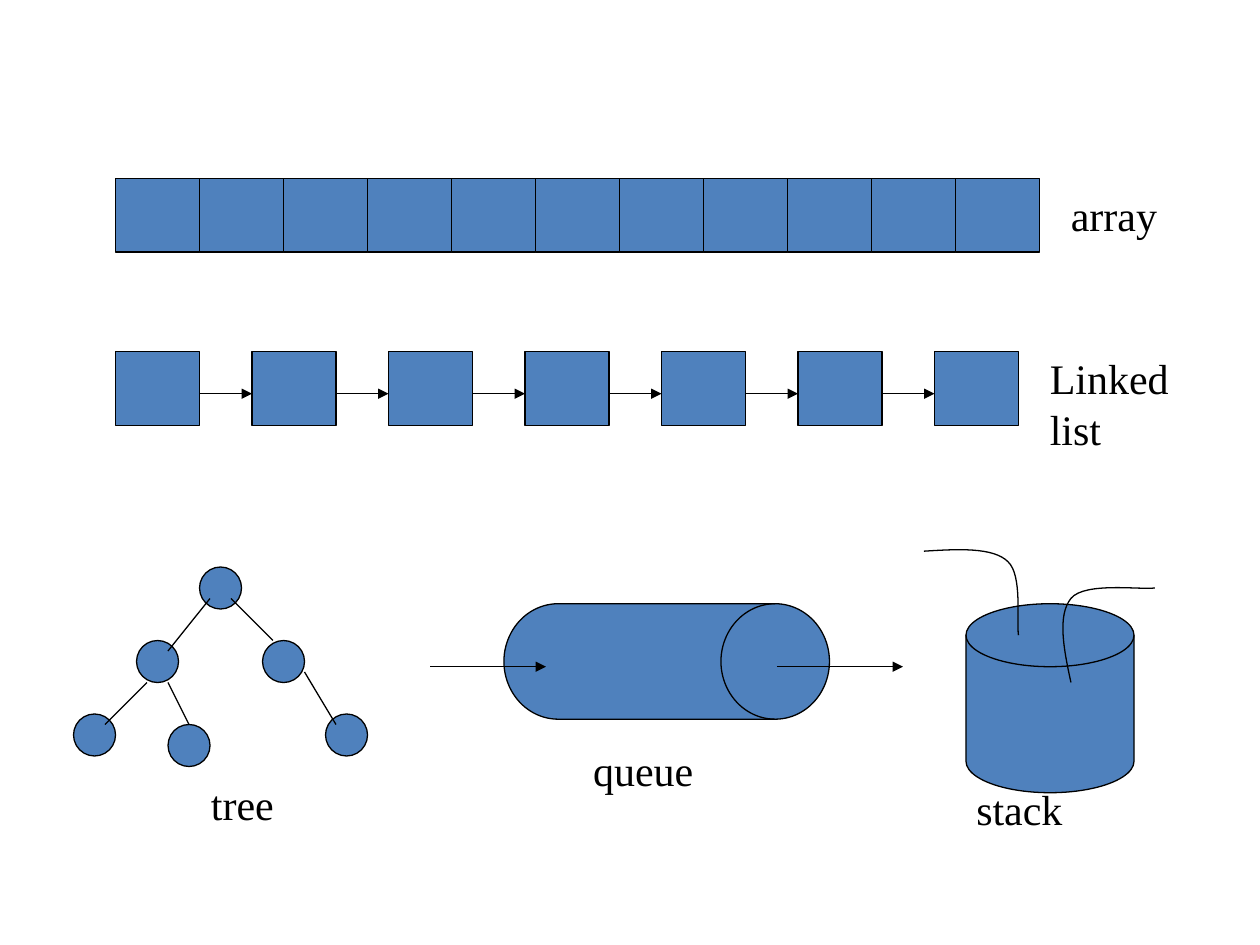
from lxml.etree import SubElement
from pptx import Presentation
from pptx.dml.color import RGBColor
from pptx.enum.shapes import MSO_CONNECTOR as Connector, MSO_SHAPE as Preset
from pptx.oxml.ns import qn
from pptx.util import Inches, Pt

BLUE, BLACK = "4F81BD", "000000"
CELL_WIDTH, CELL_HEIGHT, NODE_SIZE = 8, 7, 4


def grid(*counts):
    """Turn counts of twelfth-inch columns or rows into lengths."""
    return [Inches(count / 12) for count in counts]


def color(hex_string):
    """Return the colour for a hex string."""
    return RGBColor.from_string(hex_string)


def outline(item):
    """Give a shape or connector the thin black line."""
    item.line.color.rgb = color(BLACK)
    item.line.width = Pt(0.75)


def add_solid(page, preset, left, top, width, height):
    """Add a blue outlined preset shape."""
    shape = page.shapes.add_shape(preset, *grid(left, top, width, height))
    shape.shadow.inherit = False
    shape.fill.solid()
    shape.fill.fore_color.rgb = color(BLUE)
    outline(shape)


def add_line(page, left, top, right, bottom, arrow=False):
    """Add a straight line, with an arrowhead at its end on request."""
    line = page.shapes.add_connector(Connector.STRAIGHT, *grid(left, top, right, bottom))
    outline(line)
    if arrow:
        SubElement(line.line._get_or_add_ln(), qn("a:tailEnd"), type="triangle")
    SubElement(line._element.spPr, qn("a:effectLst"))


def add_curve(page, left, top, points):
    """Add an open Bezier curve: a start, then triples of control points and end."""
    start, *others = [grid(left + x, top + y) for x, y in points]
    builder = page.shapes.build_freeform(*start)
    builder.add_line_segments(others, close=False)
    curve = builder.convert_to_shape()
    curve.shadow.inherit = False
    curve.fill.background()
    outline(curve)
    route = next(curve._element.iter(qn("a:path")))
    segments = route.findall(qn("a:lnTo"))
    for first in range(0, len(segments), 3):
        bend = SubElement(route, qn("a:cubicBezTo"))
        for segment in segments[first:first + 3]:
            bend.append(segment[0])
            route.remove(segment)


def add_label(page, words, left, top, width, height=6):
    """Add a wrapped text label."""
    box = page.shapes.add_textbox(*grid(left, top, width, height))
    box.text_frame.word_wrap = True
    para = box.text_frame.paragraphs[0]
    para.text = words
    para.font.name = "Times New Roman"
    para.font.size = Pt(24)
    para.font.color.rgb = color(BLACK)


def draw_array(page, left, top, count=11):
    """Draw adjoining cells and their label."""
    for index in range(count):
        add_solid(page, Preset.RECTANGLE, left + index * CELL_WIDTH, top, CELL_WIDTH, CELL_HEIGHT)
    add_label(page, "array", left + 89.8, top + 0.5, 13.6)


def draw_linked_list(page, left, top, count=7, gap=5):
    """Draw spaced cells joined by arrows and their label."""
    for index in range(count):
        x = left + index * (CELL_WIDTH + gap)
        add_solid(page, Preset.RECTANGLE, x, top, CELL_WIDTH, CELL_HEIGHT)
        if index:
            add_line(page, x - gap, top + 4, x, top + 4, arrow=True)
    add_label(page, "Linked list", left + 87.8, top - 0.5, 14.9, 10.9)


def draw_tree(page, left, top):
    """Draw nodes, branches and the label of a binary tree."""
    nodes = [(12, 0), (6, 7), (0, 14), (18, 7), (24, 14), (9, 15)]
    branches = [(13, 3, 9, 8), (7, 11, 3, 15), (15, 3, 19, 7), (22, 10, 25, 15), (9, 11, 11, 15)]
    for x, y in nodes:
        add_solid(page, Preset.OVAL, left + x, top + y, NODE_SIZE, NODE_SIZE)
    for x1, y1, x2, y2 in branches:
        add_line(page, left + x1, top + y1, left + x2, top + y2)
    add_label(page, "tree", left + 11.9, top + 19.6, 12.1)


def draw_queue(page, left, top):
    """Draw a lying drum with arrows in and out and its label."""
    add_solid(page, Preset.FLOWCHART_DIRECT_ACCESS_STORAGE, left, top, 31, 11)
    for start, end in [(-7, 4), (26, 38)]:
        add_line(page, left + start, top + 6, left + end, top + 6, arrow=True)
    add_label(page, "queue", left + 7.3, top + 12.8, 16.9)


def draw_stack(page, left, top):
    """Draw a standing drum with curves in and out and its label."""
    add_solid(page, Preset.FLOWCHART_MAGNETIC_DISK, left, top, 16, 18)
    add_curve(page, left, top, [(-4, -5), (-0.8, -5.2), (2.6, -5.4), (4, -4),
                                (5.4, -2.7), (4.8, 1.7), (5, 3)])
    add_curve(page, left, top, [(10, 7.5), (9.3, 4.3), (8.7, 1.1), (10, -0.5),
                                (11.3, -2.1), (16.7, -1.3), (18, -1.5)])
    add_label(page, "stack", left - 0.2, top + 16.5, 15.1)


def main():
    """Build the slide of data structures."""
    deck = Presentation()
    deck.slide_width, deck.slide_height = Inches(10), Inches(7.5)
    page = deck.slides.add_slide(deck.slide_layouts[6])
    draw_array(page, 11, 17)
    draw_linked_list(page, 11, 33.5)
    draw_tree(page, 7, 54)
    draw_queue(page, 48, 57.5)
    draw_stack(page, 92, 57.5)
    deck.save("out.pptx")


main()
